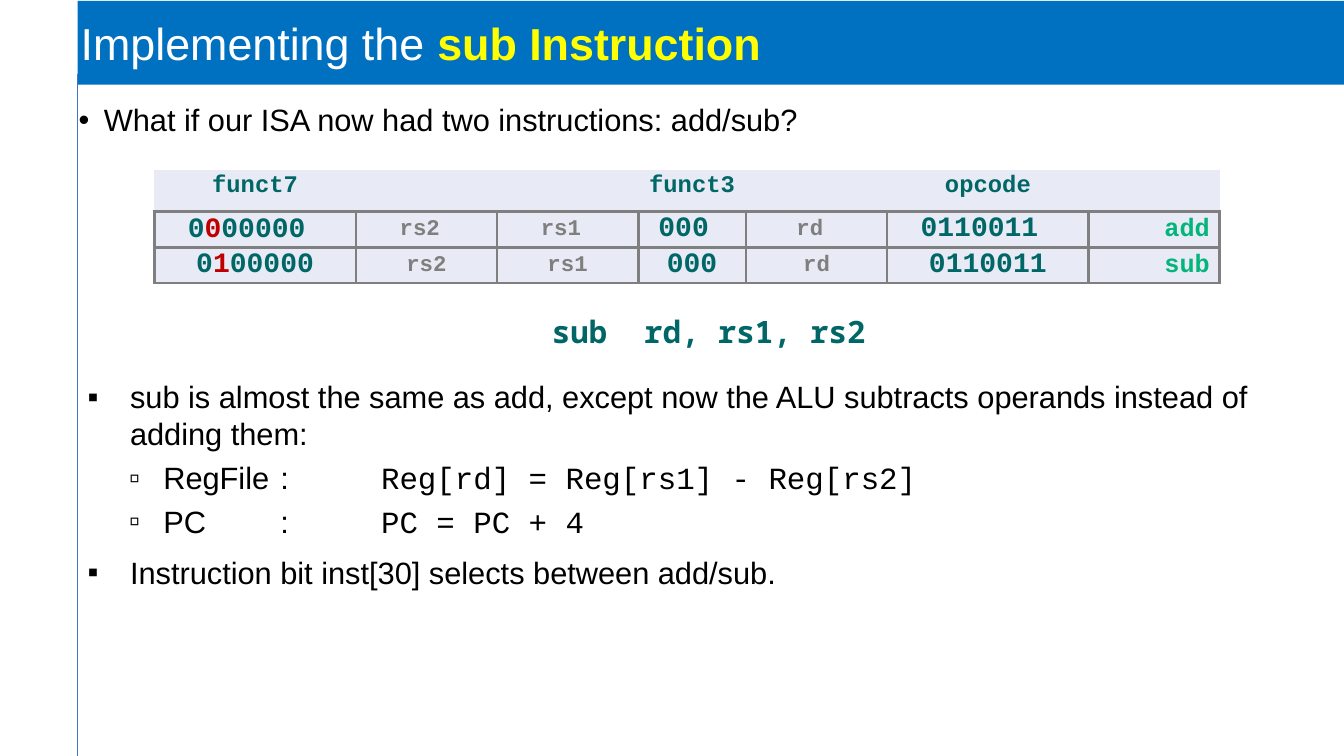
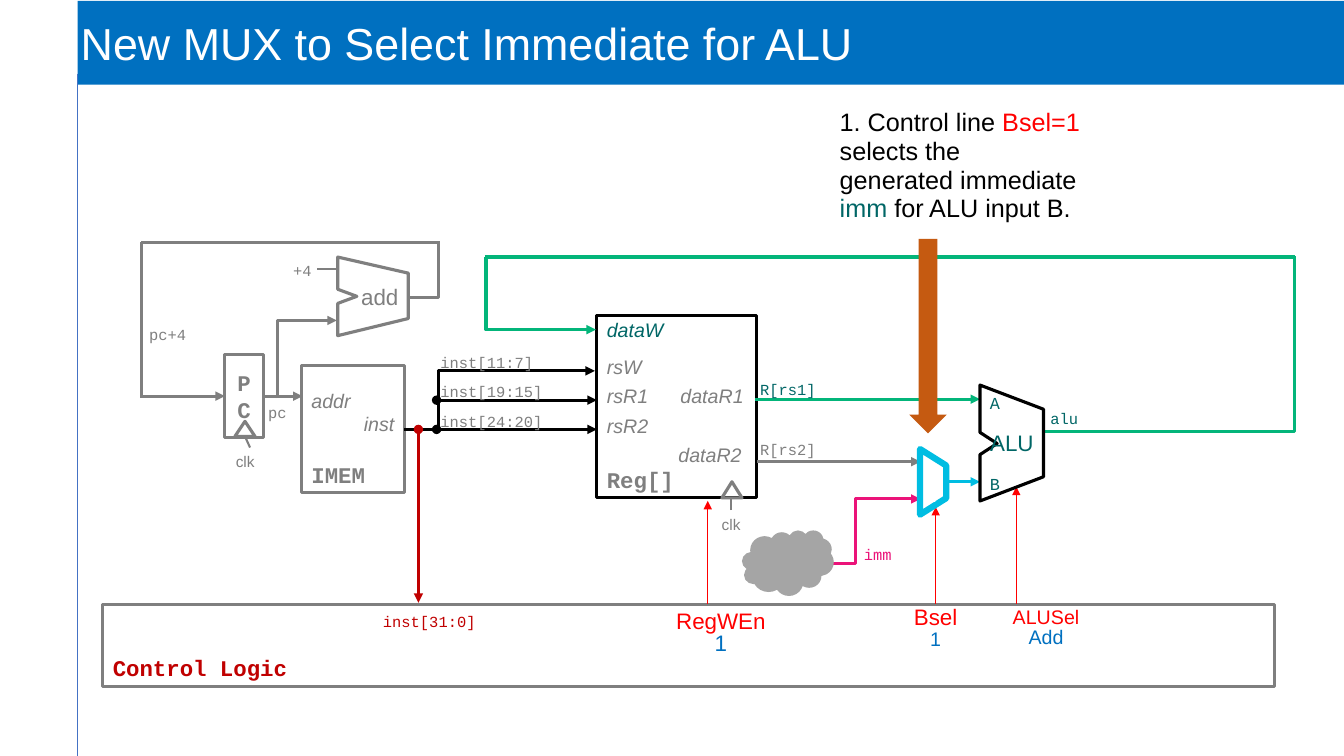
from lxml.etree import SubElement
from pptx import Presentation
from pptx.dml.color import RGBColor
from pptx.enum.shapes import MSO_CONNECTOR as Wire, MSO_SHAPE as Geo
from pptx.enum.text import MSO_ANCHOR as Anchor, MSO_AUTO_SIZE as AutoSize, PP_ALIGN as Align
from pptx.oxml import parse_xml
from pptx.oxml.ns import nsdecls, qn
from pptx.util import Cm, Pt

BLUE = RGBColor(0x00, 0x70, 0xC0)
RULE = RGBColor(0x44, 0x72, 0xC4)
WHITE = RGBColor(0xFF, 0xFF, 0xFF)
YELLOW = RGBColor(0xFF, 0xFF, 0x00)
BLACK = RGBColor(0x00, 0x00, 0x00)
TEAL = RGBColor(0x00, 0x66, 0x66)
GREEN = RGBColor(0x03, 0xB5, 0x7A)
GRAY = RGBColor(0x7F, 0x7F, 0x7F)
CLOUD = RGBColor(0xA5, 0xA5, 0xA5)
CRIMSON = RGBColor(0xC0, 0x00, 0x00)
RED = RGBColor(0xFF, 0x00, 0x00)
CYAN = RGBColor(0x00, 0xBD, 0xE2)
PINK = RGBColor(0xEB, 0x13, 0x79)
ORANGE = RGBColor(0xC5, 0x5A, 0x11)
PALE = RGBColor(0xE8, 0xEB, 0xF5)

SANS, CODE, MONO = "Arial", "Courier New", "Noto Sans Mono"
L, C, R = Align.LEFT, Align.CENTER, Align.RIGHT

SUB_TITLE = [("Implementing the ", 32, WHITE, SANS), ("sub Instruction", 32, YELLOW, SANS, "b")]
MUX_TITLE = [("New MUX to Select Immediate for ALU", 32, WHITE, SANS)]

QUESTION = [dict(runs=[("What if our ISA now had two instructions: add/sub?", 22, BLACK, SANS)],
                 spacing=0.9, bullet="•", indent=(0.25, -0.25))]
SYNTAX = [dict(runs=[("sub  rd, rs1, rs2", 22, TEAL, MONO, "b")], align=C)]
TOP_ITEM = dict(bullet="▪", indent=(0.51, -0.42))
SUB_ITEM = dict(bullet="▫", indent=(0.84, -0.34), level=1, before=5)
ANSWER = [
    dict(TOP_ITEM, runs=[("sub is almost the same as add, except now the ALU subtracts operands "
                          "instead of adding them:", 22, BLACK, SANS)]),
    dict(SUB_ITEM, runs=[("RegFile\t:\t", 22, BLACK, SANS),
                         ("Reg[rd] = Reg[rs1] - Reg[rs2]", 22, BLACK, CODE)]),
    dict(SUB_ITEM, runs=[("PC\t:\t", 22, BLACK, SANS), ("PC = PC + 4", 22, BLACK, CODE)]),
    dict(TOP_ITEM, before=10,
         runs=[("Instruction bit inst[30] selects between add/sub.", 22, BLACK, SANS)]),
]

COLUMNS = [2, 1.4, 1.4, 1.07, 1.4, 2, 1.3]
HEADER = ["funct7", "", "", "funct3", "", "opcode", ""]
FORMATS = [
    [("0", "0", "00000 "), "rs2 ", "rs1 ", "000 ", "rd ", "0110011 ", "add"],
    [("0", "1", "00000"), "rs2", "rs1", "000", "rd", "0110011", "sub"],
]
FIELD_STYLES = [None, (16, GRAY), (16, GRAY), (20, TEAL), (16, GRAY), (20, TEAL), (18, GREEN)]

PC_BOX = (2.23, 3.52, 0.38, 0.82)
PC_TEXT = [dict(runs=[("PC", 16, GRAY, CODE, "b")], align=C)]
IMEM_TEXT = [
    dict(runs=[("addr", 14, GRAY, SANS, "i")]),
    dict(runs=[("inst", 14, GRAY, SANS, "i")], align=R),
    dict(runs=[("IMEM", 16, GRAY, CODE, "b")], before=18),
]
REG_TEXT = [
    dict(runs=[("dataW", 14, TEAL, SANS, "i")]),
    dict(runs=[("rsW", 14, GRAY, SANS, "i")], before=10),
    dict(runs=[("rsR1\tdataR1", 14, GRAY, SANS, "i")], before=4, tab=0.73),
    dict(runs=[("rsR2", 14, GRAY, SANS, "i")], before=4),
    dict(runs=[("\tdataR2", 14, GRAY, SANS, "i")], before=4, tab=0.71),
    dict(runs=[("Reg[]", 16, GRAY, CODE, "b")]),
]
CONTROL_TEXT = [dict(runs=[("Control Logic", 16, CRIMSON, CODE, "b")])]
ADD_TEXT = [dict(runs=[("add", 16, GRAY, SANS)], align=R)]
ALU_TEXT = [
    dict(runs=[("A", 12, TEAL, CODE)]),
    dict(runs=[("ALU", 16, TEAL, SANS)], align=R, before=12),
    dict(runs=[("B", 12, TEAL, CODE)], before=12),
]
ADD_OUTLINE = [(3.35, 2.55), (3.35, 2.87), (3.54, 2.94), (3.35, 3.01),
               (3.35, 3.33), (4.05, 3.16), (4.05, 2.71)]
ALU_OUTLINE = [(9.72, 3.82), (9.72, 4.29), (9.89, 4.4), (9.72, 4.51),
               (9.72, 4.97), (10.35, 4.73), (10.35, 4.06)]

BOXES = [
    (Geo.RECTANGLE, (2.99, 3.63, 1.02, 1.26), GRAY, IMEM_TEXT),
    (Geo.RECTANGLE, (5.92, 3.13, 1.58, 1.81), BLACK, REG_TEXT),
    (Geo.RECTANGLE, (1.02, 6, 11.62, 0.81), GRAY, CONTROL_TEXT),
    (Geo.ISOSCELES_TRIANGLE, (7.16, 4.78, 0.2, 0.16), GRAY, None),
    (Geo.ISOSCELES_TRIANGLE, (2.33, 4.18, 0.2, 0.15), GRAY, None),
]
WIRES = [
    ((4.81, 2.55, 12.84, 2.55), GREEN, 2.25, "", None),
    ((4.82, 2.55, 5.91, 3.27), GREEN, 2.25, ">", 0),
    ((10.35, 4.28, 12.84, 2.54), GREEN, 2.25, "", 1),
    ((4.01, 4.26, 5.9, 3.68), BLACK, 2.25, ">", 0.18),
    ((4.33, 3.97, 5.92, 3.97), BLACK, 2.25, "o>", None),
    ((4.33, 4.26, 5.92, 4.26), BLACK, 2.25, "o>", None),
    ((4.15, 4.26, 4.15, 5.98), CRIMSON, 2.25, "o>", None),
    ((2.48, 4.44, 2.43, 4.33), GRAY, 1.5, "", None),
    ((7.25, 5.06, 7.25, 4.93), GRAY, 1.5, "", None),
    ((3.34, 2.67, 3.14, 2.67), GRAY, 1.5, "", None),
    ((2.75, 3.95, 3.34, 3.18), GRAY, 2.25, ">", 0),
    ((4.06, 2.95, 4.35, 2.41), GRAY, 2.25, "", 1),
    ((1.4, 2.41, 4.36, 2.41), GRAY, 2.25, "", None),
    ((1.4, 2.4, 1.4, 3.95), GRAY, 2.25, "", None),
    ((7.49, 3.96, 9.72, 3.96), GREEN, 2.25, ">", None),
    ((7.51, 4.58, 9.13, 4.58), GRAY, 2.25, ">", None),
    ((9.39, 4.78, 9.72, 4.78), CYAN, 2.25, ">", None),
    ((8.26, 5.59, 9.13, 4.95), PINK, 2.25, ">", 0.26),
    ((7.02, 5.99, 7.02, 4.97), RED, 1, ">", None),
    ((9.28, 5.99, 9.28, 5.03), RED, 1, ">", None),
    ((10.08, 5.99, 10.08, 4.83), RED, 1, ">", None),
]
WIRE_LABELS = [
    ("R[rs1]", 7.44, 3.72, 0.76, TEAL, CODE),
    ("R[rs2]", 7.44, 4.32, 0.76, GRAY, CODE),
    ("clk", 2.24, 4.44, 0.48, GRAY, SANS),
    ("clk", 7.06, 5.06, 0.51, GRAY, SANS),
    ("pc", 2.56, 3.95, 0.39, GRAY, CODE),
    ("+4", 2.81, 2.54, 0.39, GRAY, CODE),
    ("alu", 10.32, 4.01, 0.48, TEAL, CODE),
    ("pc+4", 1.38, 3.18, 0.57, GRAY, CODE),
    ("imm", 8.47, 5.36, 0.48, PINK, CODE),
    ("inst[31:0]", 3.7, 6.02, 1.13, CRIMSON, CODE),
]
CONTROL_LABELS = [
    ((6.5, 6.01, 1.3, 0.79), ("RegWEn", 16), ("1", 16)),
    ((8.93, 5.98, 0.7, 0.53), ("Bsel", 16), ("1", 14)),
    ((9.87, 5.99, 1.01, 0.5), ("ALUSel", 14), ("Add", 14)),
]
FIELDS = [dict(runs=[(t, 11, GRAY, CODE)], before=8 if i else 0)
          for i, t in enumerate(["inst[11:7]", "inst[19:15]", "inst[24:20]"])]
MUX_INPUTS = [dict(runs=[("0", 12, WHITE, CODE)], align=C),
              dict(runs=[("1", 12, WHITE, CODE)], align=C, before=6)]
CALLOUT = [dict(spacing=0.95, runs=[
    ("1. Control line ", 18, BLACK, SANS), ("Bsel=1 ", 18, RED, SANS),
    ("selects the generated immediate ", 18, BLACK, SANS), ("imm", 18, TEAL, SANS),
    (" for ALU input B.", 18, BLACK, SANS)])]


def inches(*values):
    return [Cm(2.54 * v) for v in values]


def write(tf, paras, anchor=Anchor.TOP, insets=(0.1, 0.05), wrap=True):
    tf.word_wrap, tf.auto_size, tf.vertical_anchor = wrap, AutoSize.NONE, anchor
    tf.margin_left = tf.margin_right = inches(insets[0])[0]
    tf.margin_top = tf.margin_bottom = inches(insets[1])[0]
    for i, para in enumerate(paras):
        p = tf.paragraphs[0] if i == 0 else tf.add_paragraph()
        p.alignment = para.get("align", L)
        p.level = para.get("level", 0)
        p.space_before = Pt(para.get("before", 0))
        p.line_spacing = para.get("spacing", 1.0)
        pPr = p._p.get_or_add_pPr()
        if "bullet" in para:
            margin, hang = inches(*para["indent"])
            pPr.set("marL", str(margin))
            pPr.set("indent", str(hang))
            pPr.set("defTabSz", str(Cm(2.54)))
            SubElement(pPr, qn("a:buChar")).set("char", para["bullet"])
        if "tab" in para:
            tab = SubElement(SubElement(pPr, qn("a:tabLst")), qn("a:tab"))
            tab.set("pos", str(inches(para["tab"])[0]))
            tab.set("algn", "l")
        for text, size, color, font, *style in para["runs"]:
            r = p.add_run()
            r.text = text
            r.font.size, r.font.name, r.font.color.rgb = Pt(size), font, color
            r.font.bold, r.font.italic = "b" in style, "i" in style


def add_text(slide, box, paras, **options):
    write(slide.shapes.add_textbox(*inches(*box)).text_frame, paras, **options)


def paint(sp, fill=None, line=None, weight=2.25):
    sp.shadow.inherit = False
    if fill is None:
        sp.fill.background()
    else:
        sp.fill.solid()
        sp.fill.fore_color.rgb = fill
    if line is None:
        sp.line.fill.background()
    else:
        sp.line.color.rgb, sp.line.width = line, Pt(weight)
    return sp


def add_shape(slide, geo, box, **look):
    return paint(slide.shapes.add_shape(geo, *inches(*box)), **look)


def add_outline(slide, points, color, paras):
    (start, *rest) = [inches(*pt) for pt in points]
    builder = slide.shapes.build_freeform(*start)
    builder.add_line_segments(rest, close=True)
    sp = paint(builder.convert_to_shape(), line=color)
    write(sp.text_frame, paras, Anchor.MIDDLE)


def add_wire(slide, ends, color, weight=2.25, tips="", bend=None):
    kind = Wire.STRAIGHT if bend is None else Wire.ELBOW
    c = slide.shapes.add_connector(kind, *inches(*ends))
    c.line.color.rgb, c.line.width = color, Pt(weight)
    if bend is not None:
        guide = SubElement(c._element.spPr.find(qn("a:prstGeom")).get_or_add_avLst(), qn("a:gd"))
        guide.set("name", "adj1")
        guide.set("fmla", f"val {round(bend * 100000)}")
    ln = c.get_or_add_ln()
    for mark, tag, tip in (("o", "a:headEnd", "oval"), (">", "a:tailEnd", "triangle")):
        if mark in tips:
            SubElement(ln, qn(tag)).set("type", tip)
    SubElement(c._element.spPr, qn("a:effectLst"))
    return c


def place(ph, box):
    ph.left, ph.top, ph.width, ph.height = inches(*box)
    return ph.text_frame


def new_slide(prs, layout, title):
    slide = prs.slides.add_slide(prs.slide_layouts[layout])
    tf = place(slide.shapes.title, (0.77, 0.01, 12.56, 0.83))
    slide.shapes.title.fill.solid()
    slide.shapes.title.fill.fore_color.rgb = BLUE
    write(tf, [dict(runs=title)], Anchor.MIDDLE, (0.03, 0.03))
    add_wire(slide, (0.77, 0.73, 0.77, 7.5), RULE, 0.75)
    return slide


def fill_cell(cell, runs, align, anchor, sides):
    write_to = cell.text_frame
    cell.vertical_anchor = anchor
    p = write_to.paragraphs[0]
    p.alignment, p.line_spacing = align, 0.8
    for text, size, color in runs:
        r = p.add_run()
        r.text = text
        r.font.size, r.font.name, r.font.bold, r.font.color.rgb = Pt(size), CODE, True, color
    cell.fill.solid()
    cell.fill.fore_color.rgb = PALE
    for i, side in enumerate(sides):
        cell._tc.get_or_add_tcPr().insert(i, parse_xml(
            f'<a:ln{side} {nsdecls("a")} w="{Pt(2.25)}"><a:solidFill>'
            f'<a:srgbClr val="{GRAY}"/></a:solidFill></a:ln{side}>'))


def add_format_table(slide):
    frame = slide.shapes.add_table(3, len(COLUMNS), *inches(1.53, 1.69, sum(COLUMNS), 1.07))
    table = frame.table
    table.first_row = table.horz_banding = False
    table._tbl.tblPr.find(qn("a:tableStyleId")).text = "{2D5ABB26-0587-4C30-8999-92F81FD0307C}"
    for col, width in zip(table.columns, inches(*COLUMNS)):
        col.width = width
    for i, text in enumerate(HEADER):
        fill_cell(table.cell(0, i), [(text, 17, TEAL)] if text else [], C, Anchor.TOP, "B")
    for row, fields in enumerate(FORMATS, 1):
        for i, (field, style) in enumerate(zip(fields, FIELD_STYLES)):
            if style:
                runs = [(field, *style)]
            else:
                runs = [(t, 20, color) for t, color in zip(field, (TEAL, CRIMSON, TEAL))]
            fill_cell(table.cell(row, i), runs, R if i == len(COLUMNS) - 1 else C,
                      Anchor.MIDDLE if i else Anchor.BOTTOM, "LRTB")


def build_sub_slide(prs):
    slide = new_slide(prs, 3, SUB_TITLE)
    write(place(slide.placeholders[1], (0.68, 0.99, 12.39, 5.78)), QUESTION)
    write(place(slide.placeholders[2], (0.68, 3.7, 12.66, 3.18)), ANSWER)
    add_text(slide, (3.5, 3.05, 7.06, 0.47), SYNTAX)
    add_format_table(slide)


def build_mux_slide(prs):
    slide = new_slide(prs, 5, MUX_TITLE)
    for geo, box, color, paras in BOXES:
        sp = add_shape(slide, geo, box, line=color)
        if paras:
            write(sp.text_frame, paras, Anchor.BOTTOM)
    pc = add_shape(slide, Geo.RECTANGLE, PC_BOX, line=GRAY)
    write(pc.text_frame, PC_TEXT, Anchor.MIDDLE, (0.07, 0.04))
    add_outline(slide, ADD_OUTLINE, GRAY, ADD_TEXT)
    for wire in WIRES:
        add_wire(slide, *wire)
    add_wire(slide, (1.39, 3.93, 2.23, 3.93), GRAY, tips=">").end_connect(pc, 1)
    add_wire(slide, (2.61, 3.93, 3, 3.93), GRAY, tips=">").begin_connect(pc, 3)
    add_outline(slide, ALU_OUTLINE, BLACK, ALU_TEXT)
    mux = add_shape(slide, Geo.TRAPEZOID, (8.93, 4.65, 0.65, 0.26), line=CYAN, weight=4.5)
    mux.rotation, mux.adjustments[0] = 90, 0.63
    add_text(slide, (9.13, 4.56, 0.21, 0.44), MUX_INPUTS, anchor=Anchor.MIDDLE, wrap=False)
    add_shape(slide, Geo.DOWN_ARROW, (9.02, 2.37, 0.37, 1.93), fill=ORANGE)
    add_shape(slide, Geo.CLOUD, (7.36, 5.26, 0.91, 0.65), fill=CLOUD)
    for text, x, y, w, color, font in WIRE_LABELS:
        add_text(slide, (x, y, w, 0.29), [dict(runs=[(text, 11, color, font)])], wrap=False)
    for box, (name, size), (value, value_size) in CONTROL_LABELS:
        add_text(slide, box, [
            dict(runs=[(name, size, RED, SANS)], align=C, spacing=0.85),
            dict(runs=[(value, value_size, BLUE, SANS)], align=C, spacing=0.85)])
    add_text(slide, (4.27, 3.45, 1.22, 0.88), FIELDS, wrap=False)
    add_text(slide, (8.23, 1.03, 2.58, 1.25), CALLOUT)


def main():
    prs = Presentation()
    prs.slide_width, prs.slide_height = inches(13.33, 7.5)
    build_sub_slide(prs)
    build_mux_slide(prs)
    prs.save("out.pptx")


if __name__ == "__main__":
    main()
